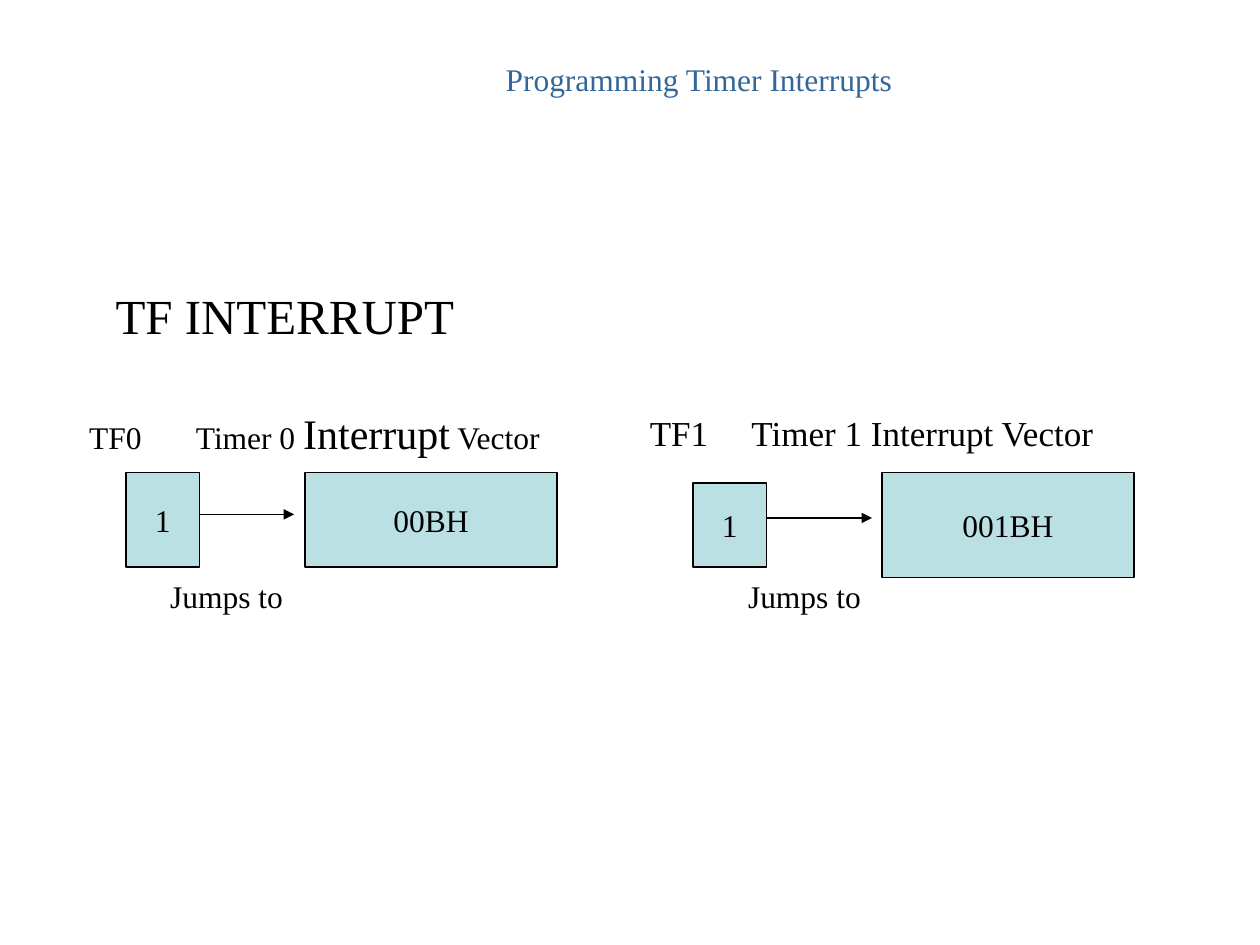
import pptx
import pptx.util
import pptx.dml.color
import pptx.enum.shapes
import pptx.enum.text
import pptx.oxml.ns
import lxml.etree

Cm = pptx.util.Cm
Pt = pptx.util.Pt
RGB = pptx.dml.color.RGBColor
ALIGN = pptx.enum.text.PP_ALIGN
ANCHOR = pptx.enum.text.MSO_ANCHOR

BLACK = RGB(0x00, 0x00, 0x00)
BLUE = RGB(0x33, 0x66, 0x99)
TEAL = RGB(0xBB, 0xE0, 0xE3)
FACE = "Times New Roman"


def add_sub(node, tag, **attrs):
    return lxml.etree.SubElement(node, pptx.oxml.ns.qn(tag), **attrs)


def set_all(item, values):
    for name, value in values.items():
        setattr(item, name, value)


def write(shape, runs, color=BLACK, align=ALIGN.LEFT, tab=None,
          anchor=ANCHOR.TOP, wrap=True):
    """Fill a shape with one paragraph of (text, size) runs."""
    frame = shape.text_frame
    set_all(frame, {"word_wrap": wrap, "vertical_anchor": anchor})
    para = frame.paragraphs[0]
    para.alignment = align
    if tab:
        stops = add_sub(para._p.get_or_add_pPr(), "a:tabLst")
        add_sub(stops, "a:tab", pos=str(int(Cm(tab))), algn="l")
    for text, size in runs:
        run = para.add_run()
        run.text = text
        set_all(run.font, {"name": FACE, "size": Pt(size)})
        run.font.color.rgb = color


def add_text(slide, place, runs, **look):
    box = slide.shapes.add_textbox(*map(Cm, place))
    write(box, runs, **look)


def add_box(slide, place, text):
    kind = pptx.enum.shapes.MSO_SHAPE.RECTANGLE
    box = slide.shapes.add_shape(kind, *map(Cm, place))
    box.shadow.inherit = False
    box.fill.solid()
    box.fill.fore_color.rgb = TEAL
    box.line.color.rgb = BLACK
    box.line.width = Pt(0.75)
    write(box, [(text, 18)], align=ALIGN.CENTER,
          anchor=ANCHOR.MIDDLE, wrap=False)


def add_arrow(slide, left, right, y):
    kind = pptx.enum.shapes.MSO_CONNECTOR.STRAIGHT
    arrow = slide.shapes.add_connector(kind, Cm(left), Cm(y), Cm(right), Cm(y))
    arrow.line.color.rgb = BLACK
    arrow.line.width = Pt(0.75)
    add_sub(arrow.line._get_or_add_ln(), "a:tailEnd", type="triangle")
    add_sub(arrow._element.spPr, "a:effectLst")


def main():
    deck = pptx.Presentation()
    set_all(deck, {"slide_width": Cm(25.4), "slide_height": Cm(19.05)})
    slide = deck.slides.add_slide(deck.slide_layouts[6])

    # Flag and vector boxes
    for place, text in (
        ((6.15, 9.53, 5.08, 1.9), "00BH"),
        ((2.54, 9.53, 1.48, 1.9), "1"),
        ((17.78, 9.53, 5.08, 2.12), "001BH"),
        ((13.97, 9.74, 1.48, 1.69), "1"),
    ):
        add_box(slide, place, text)

    # Arrows from flag to vector
    add_arrow(slide, 4.02, 5.93, 10.37)
    add_arrow(slide, 15.45, 17.58, 10.44)

    # Labels above the boxes
    add_text(slide, (1.55, 8.1, 11.2, 1.27),
             [("TF0\tTimer 0 ", 18), ("Interrupt", 24), (" Vector", 18)],
             tab=2.15)
    add_text(slide, (12.85, 8.18, 11, 1.12),
             [("TF1\tTimer 1 Interrupt Vector", 20)], tab=2.05)

    # Heading, captions and title
    add_text(slide, (2.08, 5.64, 7.49, 1.45), [("TF INTERRUPT", 28)])
    for left in (3.18, 14.83):
        add_text(slide, (left, 11.51, 3.18, 1.02), [("Jumps to", 18)])
    add_text(slide, (6.38, 1.09, 15.42, 1.45),
             [("Programming Timer Interrupts", 18)],
             color=BLUE, align=ALIGN.CENTER)

    deck.save("out.pptx")


if __name__ == "__main__":
    main()
